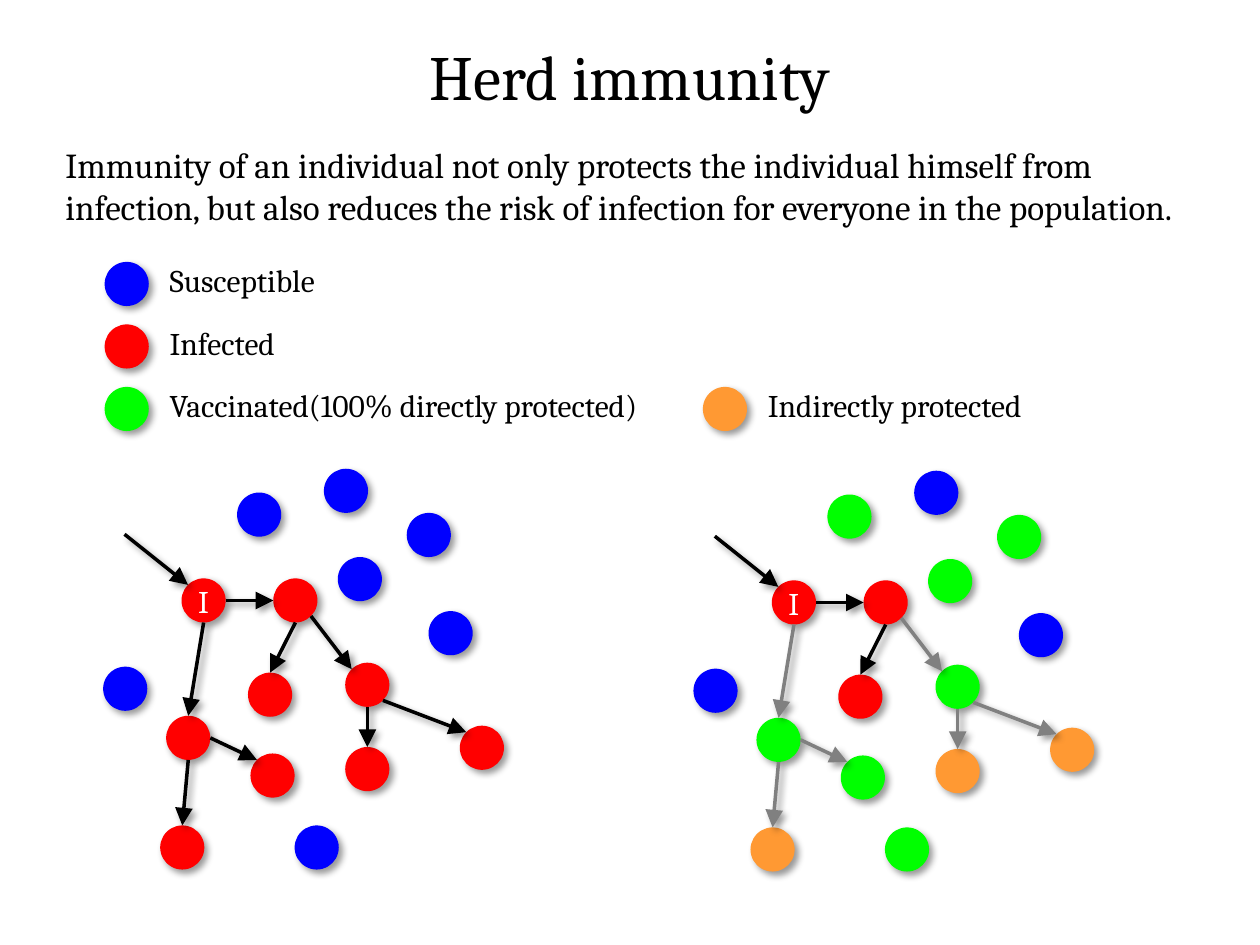
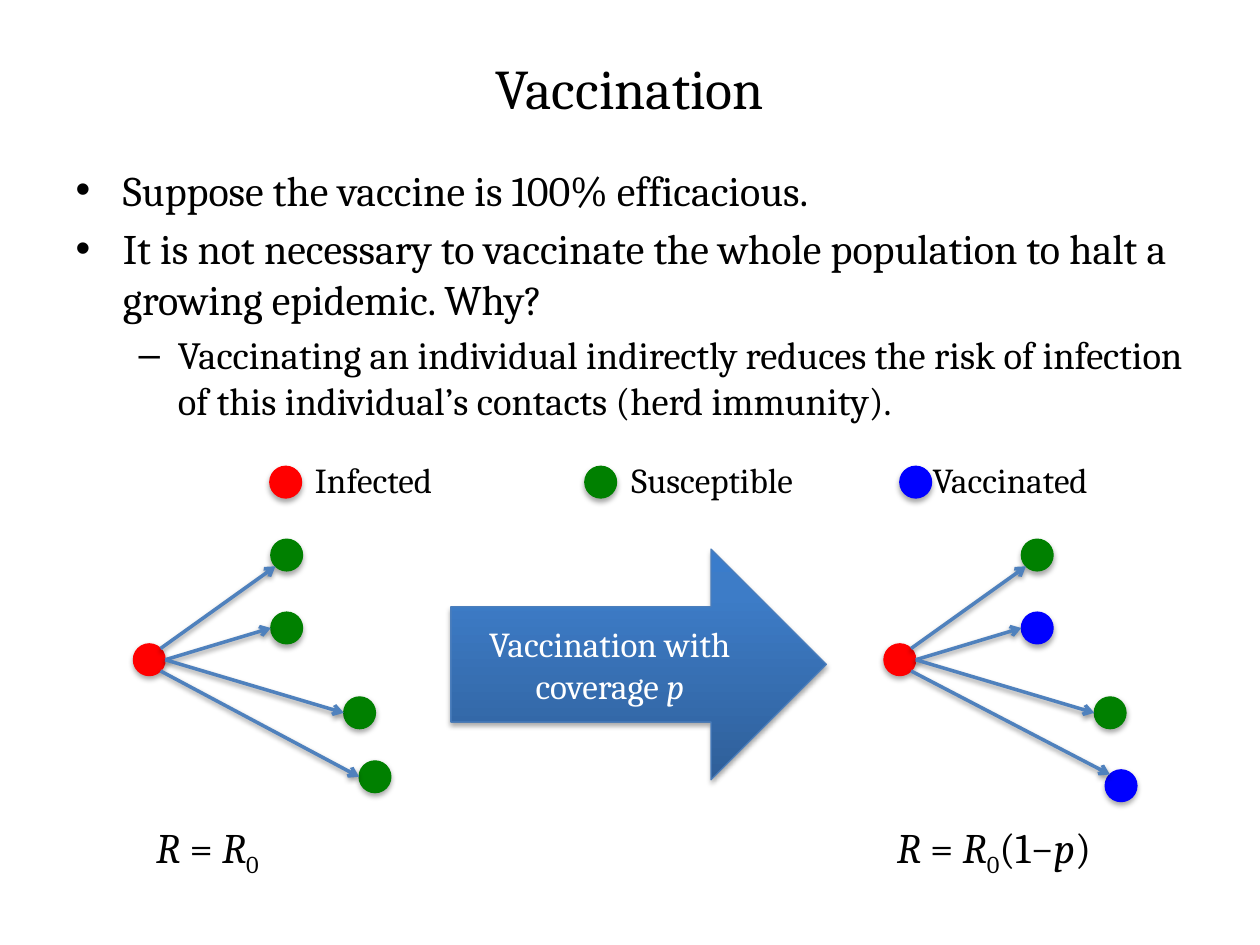
from dataclasses import dataclass
from typing import Any, NamedTuple, Optional

from pptx import Presentation
from pptx import util as u
from pptx.dml import color
from pptx.enum import shapes, text
from pptx.oxml import ns, parse_xml

FACE = "Cambria"
BLACK, WHITE, GRAY = "000000", "FFFFFF", "808080"
RED, BLUE, LIME, ORANGE, GREEN, STEEL = (
    "FF0000", "0000FF", "00FF00", "FF9933", "008000", "4F81BD")

# Unit steps from a dot's centre to its rim; y grows downwards
HALF = 0.5 ** 0.5
SIDES = {"N": (0, -1), "S": (0, 1), "E": (1, 0), "W": (-1, 0),
         "NE": (HALF, -HALF), "NW": (-HALF, -HALF),
         "SE": (HALF, HALF), "SW": (-HALF, HALF)}


class Shade(NamedTuple):
    alpha: int
    blur: float
    dist: float
    angle: int


class Bit(NamedTuple):
    words: str
    italic: bool = False
    sub: bool = False


class Link(NamedTuple):
    start: int
    leave: str
    end: int
    enter: str


@dataclass
class Dot:
    x: float
    y: float
    tint: str
    after: str = ""  # tint once people are vaccinated
    mark: str = ""

    def rim(self, side: str, size: float) -> tuple[float, float]:
        dx, dy = SIDES[side]
        return self.x + size / 2 * (1 + dx), self.y + size / 2 * (1 + dy)

    def moved(self, dx: float, dy: float) -> "Dot":
        return Dot(self.x + dx, self.y + dy, self.after, mark=self.mark)


@dataclass
class Look:
    """Style of the dots and arrows on one slide."""
    size: float
    dot: Shade
    arrow: Shade
    edge: bool
    head: str
    scale: str


CROWD = Look(0.89, Shade(40, 4, 3, 45), Shade(40, 4, 3, 45), False, "triangle", "lg")
NET = Look(0.64, Shade(35, 3.1, 1.8, 90), Shade(38, 3.1, 1.6, 90), True, "arrow", "med")


# Shared helpers
def hue(code: str) -> color.RGBColor:
    return color.RGBColor.from_string(code)


def style(thing: Any, values: dict[str, Any]) -> None:
    for key, value in values.items():
        setattr(thing, key, value)


def place(thing: Any, *box: float) -> None:
    style(thing, dict(zip(("left", "top", "width", "height"), map(u.Cm, box))))


def write(para: Any, bits: list[Bit], size: float, tint: str = BLACK) -> None:
    for bit in bits:
        run = para.add_run()
        run.text = bit.words
        style(run.font, {"name": FACE, "size": u.Pt(size), "italic": bit.italic})
        run.font.color.rgb = hue(tint)
        if bit.sub:
            run._r.get_or_add_rPr().set("baseline", "-25000")


def cast(shape: Any, shade: Shade) -> None:
    """Give a finished shape or connector its shadow."""
    props = shape._element.spPr
    for old in props.findall(ns.qn("a:effectLst")):
        props.remove(old)
    props.append(parse_xml(
        f'<a:effectLst {ns.nsdecls("a")}>'
        f'<a:outerShdw blurRad="{u.Pt(shade.blur)}" dist="{u.Pt(shade.dist)}" '
        f'dir="{shade.angle * 60000}" algn="ctr" rotWithShape="0">'
        f'<a:srgbClr val="{BLACK}"><a:alpha val="{shade.alpha * 1000}"/></a:srgbClr>'
        '</a:outerShdw></a:effectLst>'))


def label(slide: Any, bits: list[Bit], size: float, x: float, y: float,
          wide: float, high: float = 1.02, wrap: bool = False) -> None:
    frame = slide.shapes.add_textbox(*map(u.Cm, (x, y, wide, high))).text_frame
    frame.word_wrap = wrap
    write(frame.paragraphs[0], bits, size)


def title(slide: Any, words: str, size: float, y: float, high: float) -> None:
    head = slide.shapes.title
    place(head, 1.27, y, 22.86, high)
    style(head.text_frame, {"auto_size": text.MSO_AUTO_SIZE.NONE,
                            "vertical_anchor": text.MSO_ANCHOR.MIDDLE})
    write(head.text_frame.paragraphs[0], [Bit(words)], size)


def draw(slide: Any, dot: Dot, look: Look) -> None:
    shape = slide.shapes.add_shape(
        shapes.MSO_SHAPE.OVAL, *map(u.Cm, (dot.x, dot.y, look.size, look.size)))
    shape.shadow.inherit = False
    shape.fill.solid()
    shape.fill.fore_color.rgb = hue(dot.tint)
    if look.edge:
        shape.line.color.rgb = hue(dot.tint)
        shape.line.width = u.Pt(0.75)
    else:
        shape.line.fill.background()
    cast(shape, look.dot)
    if dot.mark:
        frame = shape.text_frame
        style(frame, {"word_wrap": False, "vertical_anchor": text.MSO_ANCHOR.MIDDLE})
        frame.paragraphs[0].alignment = text.PP_ALIGN.CENTER
        write(frame.paragraphs[0], [Bit(dot.mark)], 18, WHITE)


def arrow(slide: Any, start: tuple[float, float], end: tuple[float, float],
          tint: str, look: Look) -> None:
    line = slide.shapes.add_connector(
        shapes.MSO_CONNECTOR.STRAIGHT, *map(u.Cm, start + end))
    line.line.color.rgb = hue(tint)
    line.line.width = u.Pt(2)
    line._element.spPr.find(ns.qn("a:ln")).append(parse_xml(
        f'<a:tailEnd {ns.nsdecls("a")} type="{look.head}" '
        f'w="{look.scale}" len="{look.scale}"/>'))
    cast(line, look.arrow)


def graph(slide: Any, dots: list[Dot], links: list[Link], look: Look,
          tint: Optional[str] = None) -> None:
    """Draw dots and arrows; with no tint, only arrows to infected dots are black."""
    for dot in dots:
        draw(slide, dot, look)
    for link in links:
        goal = dots[link.end]
        arrow(slide, dots[link.start].rim(link.leave, look.size),
              goal.rim(link.enter, look.size),
              tint or (BLACK if goal.tint == RED else GRAY), look)


# Slide 1: herd immunity
PEOPLE = [
    Dot(3.66, 11.66, RED, RED, "I"),
    Dot(5.51, 11.66, RED, RED),
    Dot(3.35, 14.43, RED, LIME),
    Dot(6.96, 13.36, RED, LIME),
    Dot(5.0, 13.56, RED, RED),
    Dot(3.23, 16.64, RED, ORANGE),
    Dot(5.05, 15.19, RED, LIME),
    Dot(6.96, 15.06, RED, ORANGE),
    Dot(9.27, 14.63, RED, ORANGE),
    Dot(4.78, 9.93, BLUE, LIME),
    Dot(6.81, 11.23, BLUE, LIME),
    Dot(8.2, 10.34, BLUE, LIME),
    Dot(5.94, 16.64, BLUE, LIME),
    Dot(8.64, 12.32, BLUE, BLUE),
    Dot(2.08, 13.44, BLUE, BLUE),
    Dot(6.53, 9.45, BLUE, BLUE),
]
SPREAD = [
    Link(0, "E", 1, "W"), Link(0, "S", 2, "N"), Link(1, "S", 4, "N"),
    Link(1, "SE", 3, "NW"), Link(2, "S", 5, "N"), Link(2, "E", 6, "NW"),
    Link(3, "S", 7, "N"), Link(3, "SE", 8, "NW"),
]


def herd(deck: Any) -> None:
    slide = deck.slides.add_slide(deck.slide_layouts[5])
    title(slide, "Herd immunity", 36, -0.08, 3.18)
    label(slide, [Bit("Immunity of an individual not only protects the individual "
                      "himself from infection, but also reduces the risk of infection "
                      "for everyone in the population.")],
          20, 1.07, 2.77, 23.85, 1.96, True)

    # Legend
    keys = [(2.11, 0, BLUE, "Susceptible", 3.63), (2.11, 1, RED, "Infected", 2.74),
            (2.11, 2, LIME, "Vaccinated(100% directly protected)", 10.59),
            (14.17, 2, ORANGE, "Indirectly protected", 5.94)]
    for x, row, tint, words, wide in keys:
        y = 5.28 + 1.26 * row
        draw(slide, Dot(x, y, tint), CROWD)
        label(slide, [Bit(words)], 18, x + 1.06, y - 0.14, wide)

    # Crowd without and with vaccination
    after = [dot.moved(11.9, 0.04) for dot in PEOPLE]
    for dots in (after, PEOPLE):
        graph(slide, dots, SPREAD, CROWD)
        first = dots[0]
        arrow(slide, (first.x - 1.15, first.y - 0.89),
              first.rim("NW", CROWD.size), BLACK, CROWD)


# Slide 2: vaccination
POINTS = [
    (0, 24, "Suppose the vaccine is 100% efficacious."),
    (0, 24, "It is not necessary to vaccinate the whole population to halt a "
            "growing epidemic. Why?"),
    (1, 22, "Vaccinating an individual indirectly reduces the risk of infection "
            "of this individual’s contacts (herd immunity)."),
]
SOURCE = Dot(2.69, 12.98, RED, RED)
NEAR = [Dot(5.46, 10.87, GREEN, GREEN), Dot(5.46, 12.34, GREEN, BLUE),
        Dot(6.93, 14.05, GREEN, GREEN)]
RAYS = [Link(0, "NE", 1, "SW"), Link(0, "E", 2, "W"), Link(0, "E", 3, "W")]
RATE = [Bit("R", True), Bit(" = "), Bit("R", True), Bit("0", sub=True)]


def block(slide: Any) -> None:
    """Draw the large arrow between the two networks."""
    shape = slide.shapes.add_shape(
        shapes.MSO_SHAPE.RIGHT_ARROW, *map(u.Cm, (9.09, 11.07, 7.57, 4.65)))
    shape.shadow.inherit = False
    shape.fill.solid()
    shape.line.color.rgb = hue("4B7EBC")
    shape.line.width = u.Pt(0.75)
    stops = "".join(
        f'<a:gs pos="{spot * 1000}"><a:srgbClr val="{tint}"/></a:gs>'
        for spot, tint in ((0, "2F5F99"), (80, "3D7CC7"), (100, "3A7CCB")))
    props = shape._element.spPr
    props.replace(props.find(ns.qn("a:solidFill")), parse_xml(
        f'<a:gradFill {ns.nsdecls("a")} rotWithShape="1"><a:gsLst>{stops}</a:gsLst>'
        '<a:lin ang="16200000" scaled="0"/></a:gradFill>'))
    cast(shape, NET.dot)
    frame = shape.text_frame
    style(frame, {"word_wrap": True, "vertical_anchor": text.MSO_ANCHOR.MIDDLE})
    frame.paragraphs[0].alignment = text.PP_ALIGN.CENTER
    write(frame.paragraphs[0], [Bit("Vaccination with coverage "), Bit("p", True)],
          20, WHITE)


def vaccine(deck: Any) -> None:
    slide = deck.slides.add_slide(deck.slide_layouts[1])
    title(slide, "Vaccination", 32, 0.76, 1.98)

    # Bulleted list
    body = slide.placeholders[1]
    place(body, 1.27, 3.18, 22.86, 15.24)
    frame = body.text_frame
    frame.auto_size = text.MSO_AUTO_SIZE.NONE
    for i, (level, size, words) in enumerate(POINTS):
        para = frame.add_paragraph() if i else frame.paragraphs[0]
        para.level = level
        if not i:
            para.space_before = u.Pt(0)
        write(para, [Bit(words)], size)

    # Networks before and after vaccination
    before = [SOURCE, *NEAR, Dot(7.24, 15.34, GREEN)]
    after = [dot.moved(15.13, 0) for dot in (SOURCE, *NEAR)] + [Dot(22.28, 15.52, BLUE)]
    for dots, enter in ((before, "W"), (after, "NW")):
        graph(slide, dots, RAYS + [Link(0, "SE", 4, enter)], NET, STEEL)

    # Legend
    keys = [(RED, "Infected", 0.66), (GREEN, "Susceptible", 0.69),
            (BLUE, "Vaccinated", 0.41)]
    for i, (tint, words, gap) in enumerate(keys):
        x = 5.44 + 6.35 * i
        draw(slide, Dot(x, 9.4, tint), NET)
        label(slide, [Bit(words)], 20, x + gap, 9.12, 4, 1.12)

    block(slide)

    # Reproduction numbers
    label(slide, RATE, 24, 2.9, 16.43, 3, 1.27)
    label(slide, RATE + [Bit("(1−"), Bit("p", True), Bit(")")], 24, 17.83, 16.43, 5, 1.27)


def main() -> None:
    deck = Presentation()
    style(deck, {"slide_width": u.Cm(25.4), "slide_height": u.Cm(19.05)})
    herd(deck)
    vaccine(deck)
    deck.save("out.pptx")


if __name__ == "__main__":
    main()
